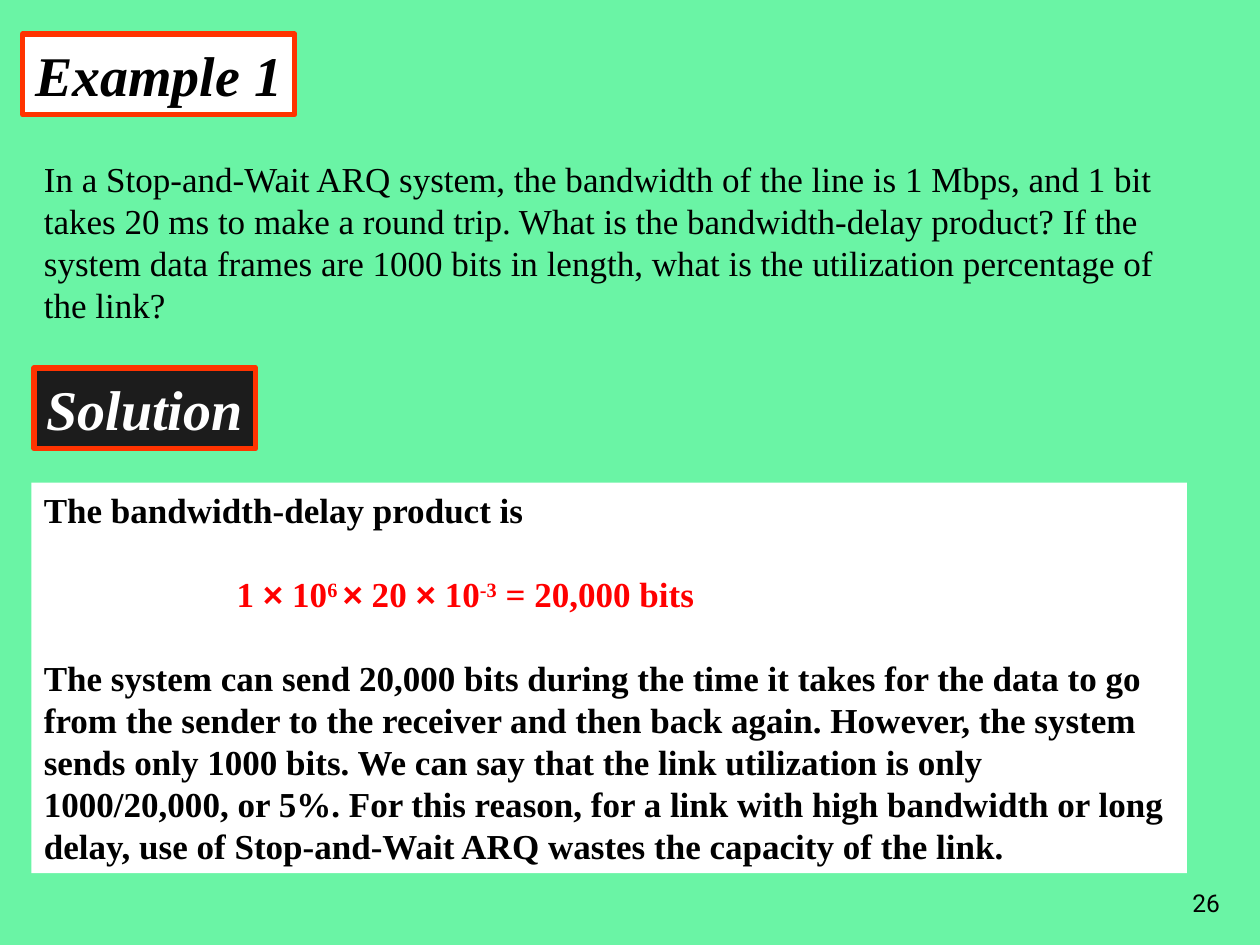
from pptx import Presentation
from pptx import util as u
from pptx.dml.color import RGBColor
from pptx.enum import shapes, text

THEME = dict(
    background="6AF4A5", ink="000000", paper="FFFFFF", dark="1C1C1C",
    border="FF3300", formula="FF0000",
    serif="Times New Roman", symbol="Arial", number="Roboto",
    heading_pt=32, body_pt=20, number_pt=14, border_pt=3, gap_pt=24,
)

QUESTION = (
    "In a Stop-and-Wait ARQ system, the bandwidth of the line is 1 Mbps, and 1 bit "
    "takes 20 ms to make a round trip. What is the bandwidth-delay product? If the "
    "system data frames are 1000 bits in length, what is the utilization percentage "
    "of the link?"
)
INTRO = "The bandwidth-delay product is"
FORMULA = ["1 ", "×", " 10", ("6 ", 30), "×", " 20 ", "×", " 10", ("-3", 30),
           " = 20,000 bits"]
CONCLUSION = (
    "The system can send 20,000 bits during the time it takes for the data to go "
    "from the sender to the receiver and then back again. However, the system sends "
    "only 1000 bits. We can say that the link utilization is only 1000/20,000, or "
    "5%. For this reason, for a link with high bandwidth or long delay, use of "
    "Stop-and-Wait ARQ wastes the capacity of the link."
)
FORMULA_INDENT = 1.53

# left, top, width, height in inches
BOXES = dict(
    example=(0.18, 0.27, 2.16, 0.64),
    question=(0.25, 1.2, 9.25, 1.44),
    solution=(0.27, 2.92, 1.76, 0.64),
    answer=(0.25, 3.83, 9.17, 3.1),
    number=(7.7, 6.83, 2.08, 0.5),
)


def color(name):
    return RGBColor.from_string(THEME[name])


def style(font, size="body_pt", ink="ink", face="serif", bold=False, italic=False):
    font.size = u.Pt(THEME[size])
    font.name = THEME[face]
    font.color.rgb = color(ink)
    font.bold, font.italic = bold, italic


def add_box(s, name, fill=None, border=None, wrap=True):
    """Add a rectangle if filled, else a text box; return its text frame."""
    area = [u.Inches(v) for v in BOXES[name]]
    if fill:
        sp = s.shapes.add_shape(shapes.MSO_SHAPE.RECTANGLE, *area)
        sp.shadow.inherit = False
        sp.fill.solid()
        sp.fill.fore_color.rgb = color(fill)
        if border:
            sp.line.color.rgb = color(border)
            sp.line.width = u.Pt(THEME["border_pt"])
        else:
            sp.line.fill.background()
    else:
        sp = s.shapes.add_textbox(*area)
    tf = sp.text_frame
    tf.word_wrap = wrap
    tf.vertical_anchor = text.MSO_ANCHOR.TOP
    tf.paragraphs[0].alignment = text.PP_ALIGN.LEFT
    return tf


def add_text(tf, words, **look):
    p = tf.paragraphs[0]
    p.text = words
    style(p.runs[0].font, **look)
    return p


def add_answer(s):
    tf = add_box(s, "answer", fill="paper")
    add_text(tf, INTRO, bold=True)

    formula, conclusion = tf.add_paragraph(), tf.add_paragraph()
    for p in (formula, conclusion):
        p.alignment = text.PP_ALIGN.LEFT
        p.space_before = u.Pt(THEME["gap_pt"])

    pPr = formula._p.get_or_add_pPr()
    pPr.set("marL", str(u.Inches(FORMULA_INDENT)))
    pPr.set("indent", "0")
    for part in FORMULA:
        words, raised = part if isinstance(part, tuple) else (part, 0)
        r = formula.add_run()
        r.text = words
        style(r.font, ink="formula", bold=True,
              face="symbol" if words == "×" else "serif")
        if raised:
            r._r.get_or_add_rPr().set("baseline", str(raised * 1000))

    conclusion.text = CONCLUSION
    style(conclusion.runs[0].font, bold=True)


def main():
    prs = Presentation()
    prs.slide_width, prs.slide_height = u.Inches(10), u.Inches(7.5)
    s = prs.slides.add_slide(prs.slide_layouts[6])
    s.background.fill.solid()
    s.background.fill.fore_color.rgb = color("background")

    heading = dict(size="heading_pt", bold=True, italic=True)
    add_text(add_box(s, "example", "paper", "border", wrap=False),
             "Example 1", **heading)
    add_text(add_box(s, "question"), QUESTION)
    add_text(add_box(s, "solution", "dark", "border", wrap=False),
             "Solution", ink="paper", **heading)
    add_answer(s)

    tf = add_box(s, "number")
    tf.vertical_anchor = text.MSO_ANCHOR.BOTTOM
    p = add_text(tf, "26", size="number_pt", face="number")
    p.alignment = text.PP_ALIGN.RIGHT

    prs.save("out.pptx")


if __name__ == "__main__":
    main()
